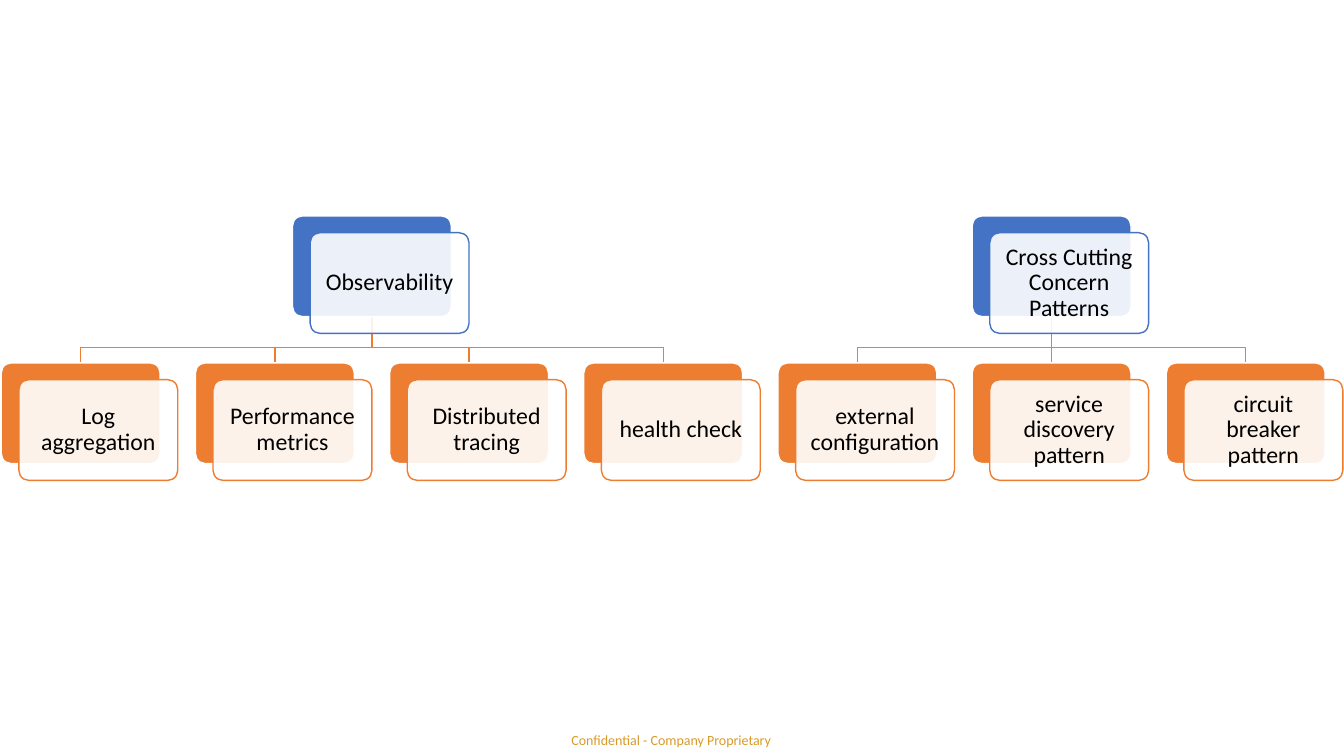
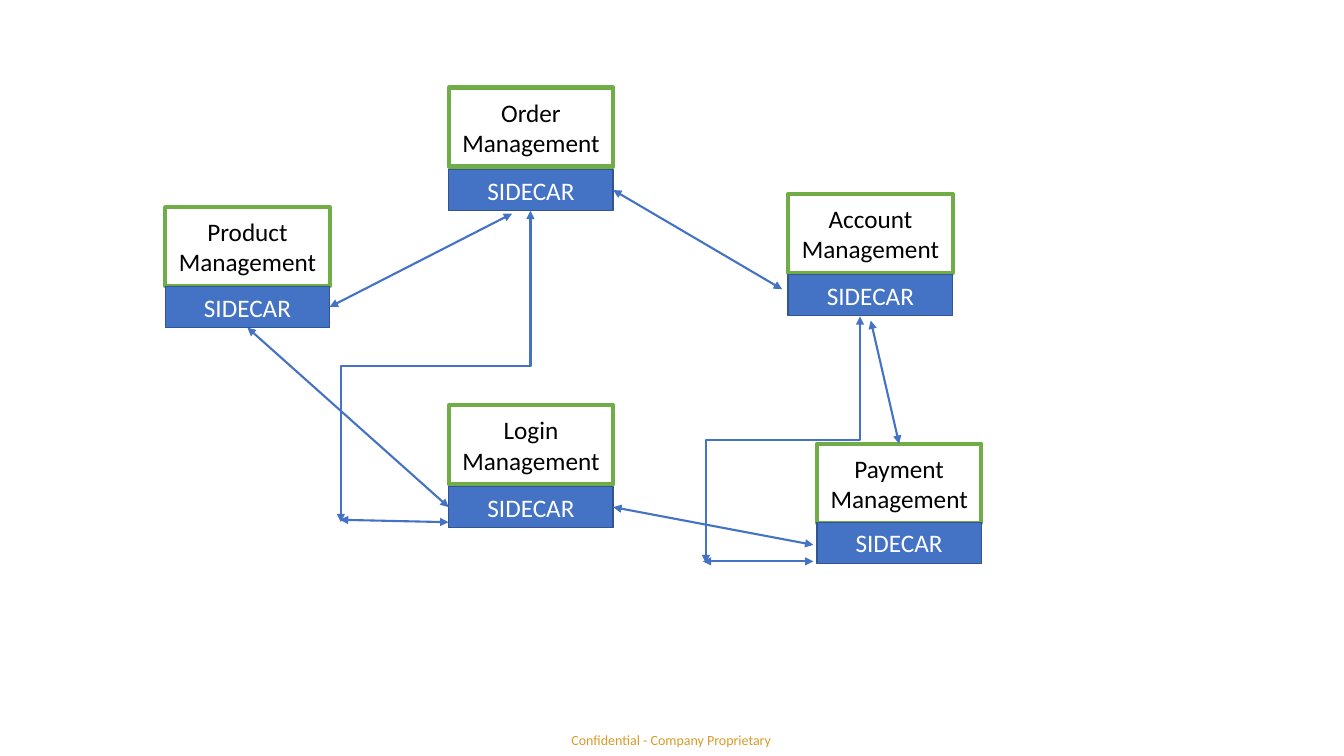
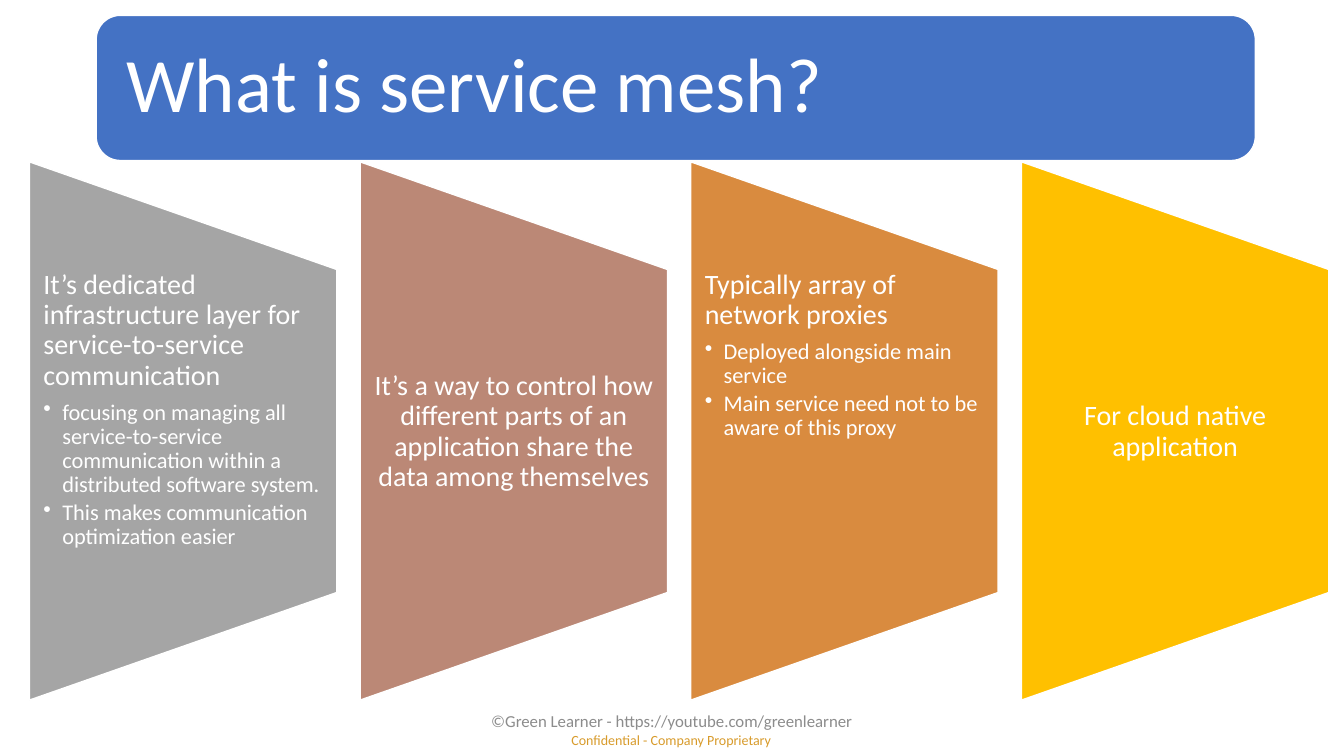
from dataclasses import dataclass
from typing import Optional, Union

from lxml import etree
from pptx import Presentation
from pptx.dml import color
from pptx.enum import shapes, text
from pptx.oxml import ns
from pptx.util import Pt

FONT = "Calibri"
COLORS = {
    "white": "FFFFFF", "black": "000000", "blue": "4472C4", "navy": "325491",
    "orange": "ED7D31", "green": "70AD47", "gray": "A5A5A5", "rose": "BB8876",
    "amber": "D98B3F", "gold": "FFC000", "footer": "D89B2B", "credit": "8C8C8C",
}
LEFT, CENTER = text.PP_ALIGN.LEFT, text.PP_ALIGN.CENTER
TOP, MIDDLE = text.MSO_ANCHOR.TOP, text.MSO_ANCHOR.MIDDLE
SHAPE = shapes.MSO_SHAPE
SIDE_TOP, SIDE_LEFT, SIDE_BOTTOM, SIDE_RIGHT = range(4)


@dataclass(frozen=True)
class Box:
    x: float
    y: float
    w: float
    h: float

    def lengths(self) -> tuple:
        return Pt(self.x), Pt(self.y), Pt(self.w), Pt(self.h)


@dataclass(frozen=True)
class Para:
    words: str
    size: float
    color: str = "white"
    align: text.PP_ALIGN = LEFT
    spacing: Optional[float] = None
    after: float = 0
    bullet: bool = False


@dataclass(frozen=True)
class Tree:
    title: str
    first: int
    leaves: tuple[str, ...]


@dataclass(frozen=True)
class Service:
    name: str
    x: float
    y: float
    sidecar_y: float


@dataclass(frozen=True)
class Joint:
    block: str
    side: int


@dataclass(frozen=True)
class Link:
    start: Union[Joint, tuple[float, float]]
    end: Union[Joint, tuple[float, float]]


@dataclass(frozen=True)
class Panel:
    fill: str
    heading: str
    bullets: tuple[str, ...] = ()


def rgb(name: str) -> color.RGBColor:
    return color.RGBColor.from_string(COLORS[name])


def write(sp, paras: list[Para], anchor=MIDDLE, inset=(7.2, 3.6), wrap=True) -> None:
    tf = sp.text_frame
    tf.word_wrap = wrap
    tf.vertical_anchor = anchor
    tf.margin_left = tf.margin_right = Pt(inset[0])
    tf.margin_top = tf.margin_bottom = Pt(inset[1])
    for i, para in enumerate(paras):
        p = tf.paragraphs[0] if i == 0 else tf.add_paragraph()
        if para.bullet:
            p.level = 1
            pPr = p._p.get_or_add_pPr()
            pPr.set("marL", str(Pt(13.5)))
            pPr.set("indent", str(-Pt(13.5)))
            etree.SubElement(pPr, ns.qn("a:buChar")).set("char", "•")
        p.alignment = para.align
        if para.spacing:
            p.line_spacing = para.spacing
        p.space_after = Pt(para.after)
        r = p.add_run()
        r.text = para.words
        r.font.name = FONT
        r.font.size = Pt(para.size)
        r.font.color.rgb = rgb(para.color)


def add_text(s, box: Box, paras: list[Para], **options):
    sp = s.shapes.add_textbox(*box.lengths())
    write(sp, paras, **options)
    return sp


def add_block(s, kind, box: Box, fill: str, line: str, width: float = 1, opacity: int = 100):
    sp = s.shapes.add_shape(kind, *box.lengths())
    sp.shadow.inherit = False
    sp.fill.solid()
    sp.fill.fore_color.rgb = rgb(fill)
    if opacity < 100:
        clr = sp._element.spPr.find(ns.qn("a:solidFill"))[0]
        etree.SubElement(clr, ns.qn("a:alpha")).set("val", str(opacity * 1000))
    sp.line.color.rgb = rgb(line)
    sp.line.width = Pt(width)
    return sp


def add_line(s, kind, start, end, line: str, width: float, arrows: bool = False):
    c = s.shapes.add_connector(kind, *(Pt(v) for v in (*start, *end)))
    c.line.color.rgb = rgb(line)
    c.line.width = Pt(width)
    if arrows:
        ln = c.line._get_or_add_ln()
        for tag in ("a:headEnd", "a:tailEnd"):
            etree.SubElement(ln, ns.qn(tag)).set("type", "triangle")
    etree.SubElement(c._element.spPr, ns.qn("a:effectLst"))
    return c


def send_to_back(sp) -> None:
    sp._element.getparent().insert(2, sp._element)


def new_slide(prs):
    s = prs.slides.add_slide(prs.slide_layouts[6])
    footer = [Para("Confidential - Company Proprietary", 10, "footer")]
    add_text(s, Box(408.2, 522.7, 145.5, 12.2), footer, anchor=TOP, inset=(0, 0), wrap=False)
    return s


CARD_W, CARD_H, CARD_PITCH, CARD_LEFT = 113.5, 72, 138.7, 0.9
ROOT_Y, LEAF_Y, BRANCH_Y = 154.2, 259.2, 248.4
TREES = (
    Tree("Observability", 0,
         ("Log aggregation", "Performance metrics", "Distributed tracing", "health check")),
    Tree("Cross Cutting Concern Patterns", 4,
         ("external configuration", "service discovery pattern", "circuit breaker pattern")),
)


def add_card(s, column: float, y: float, label: str, tone: str):
    x = CARD_LEFT + CARD_PITCH * column
    back = add_block(s, SHAPE.ROUNDED_RECTANGLE, Box(x, y, CARD_W, CARD_H), tone, "white")
    front = add_block(s, SHAPE.ROUNDED_RECTANGLE, Box(x + 12.6, y + 12, CARD_W, CARD_H),
                      "white", tone, opacity=90)
    for sp in (back, front):
        sp.adjustments[0] = 0.1
    write(front, [Para(label, 17, "black", CENTER, 0.9)], inset=(5, 5))
    return back


def add_branch(s, root, leaf, root_column: float, leaf_column: int) -> None:
    x0, x1 = (CARD_LEFT + CARD_PITCH * c + CARD_W / 2 for c in (root_column, leaf_column))
    y0 = ROOT_Y + CARD_H
    if leaf_column == root_column:
        sp = add_line(s, shapes.MSO_CONNECTOR.STRAIGHT, (x0, y0), (x1, LEAF_Y), "orange", 1)
        sp.begin_connect(root, SIDE_BOTTOM)
        sp.end_connect(leaf, SIDE_TOP)
    else:
        outline = s.shapes.build_freeform(Pt(x0), Pt(y0))
        turns = ((x0, BRANCH_Y), (x1, BRANCH_Y), (x1, LEAF_Y))
        outline.add_line_segments([(Pt(x), Pt(y)) for x, y in turns], close=False)
        sp = outline.convert_to_shape()
        sp.shadow.inherit = False
        sp.fill.background()
        sp.line.color.rgb = rgb("orange")
        sp.line.width = Pt(1)
    send_to_back(sp)


def build_patterns(prs) -> None:
    s = new_slide(prs)
    for tree in TREES:
        root_column = tree.first + (len(tree.leaves) - 1) / 2
        root = add_card(s, root_column, ROOT_Y, tree.title, "blue")
        for column, label in enumerate(tree.leaves, tree.first):
            leaf = add_card(s, column, LEAF_Y, label, "orange")
            add_branch(s, root, leaf, root_column, column)


SERVICES = (
    Service("Order", 320.5, 62.5, 121),
    Service("Login", 320.5, 289.5, 347.5),
    Service("Account", 563, 138.5, 196),
    Service("Payment", 583.5, 317, 373),
    Service("Product", 118, 148, 204.5),
)
LINKS = (
    Link(Joint("Product sidecar", SIDE_RIGHT), (365.8, 152.6)),
    Link(Joint("Order sidecar", SIDE_RIGHT), (558.7, 206.6)),
    Link((622, 229), Joint("Payment", SIDE_TOP)),
    Link(Joint("Product sidecar", SIDE_BOTTOM), Joint("Login sidecar", SIDE_LEFT)),
    Link(Joint("Login sidecar", SIDE_RIGHT), (581, 389.2)),
    Link((242.8, 371.3), (320.4, 373)),
    Link((502, 401), (581, 401)),
)
ELBOWS = (
    Link((378.9, 150.5), (243.5, 373)),
    Link((614.3, 226), (504.2, 402.3)),
)


def add_link(s, link: Link, blocks: dict) -> None:
    start, end = ((0, 0) if isinstance(e, Joint) else e for e in (link.start, link.end))
    c = add_line(s, shapes.MSO_CONNECTOR.STRAIGHT, start, end, "blue", 1.5, arrows=True)
    for spot, connect in ((link.start, c.begin_connect), (link.end, c.end_connect)):
        if isinstance(spot, Joint):
            connect(blocks[spot.block], spot.side)


def add_elbow(s, link: Link) -> None:
    (x0, y0), (x1, y1) = link.start, link.end
    cx, cy = (x0 + x1) / 2, (y0 + y1) / 2
    half_w, half_h = (y1 - y0) / 2, (x0 - x1) / 2
    c = add_line(s, shapes.MSO_CONNECTOR.ELBOW, (cx - half_w, cy - half_h),
                 (cx + half_w, cy + half_h), "blue", 1.5, arrows=True)
    c._element.spPr.find(ns.qn("a:xfrm")).set("rot", "5400000")


def build_sidecars(prs) -> None:
    s = new_slide(prs)
    blocks = {}
    for service in SERVICES:
        sp = add_block(s, SHAPE.RECTANGLE, Box(service.x, service.y, 117.5, 56.5),
                       "white", "green", 3)
        write(sp, [Para(f"{service.name} Management", 18, "black", CENTER)])
        blocks[service.name] = sp
    for service in SERVICES:
        sp = add_block(s, SHAPE.RECTANGLE, Box(service.x, service.sidecar_y, 117.5, 29.5),
                       "blue", "navy")
        write(sp, [Para("SIDECAR", 18, "white", CENTER)])
        blocks[f"{service.name} sidecar"] = sp
    for link in LINKS:
        add_link(s, link, blocks)
    for link in ELBOWS:
        add_elbow(s, link)


PANEL_LEFT, PANEL_TOP, PANEL_W, PANEL_H, PANEL_PITCH = 21, 115.6, 219.6, 384.5, 236.2
PANELS = (
    Panel("gray", "It’s dedicated infrastructure layer for service-to-service communication",
          ("focusing on managing all service-to-service communication within a distributed "
           "software system.",
           "This makes communication optimization easier")),
    Panel("rose", "It’s a way to control how different parts of an application share the data "
                  "among themselves"),
    Panel("amber", "Typically array of network proxies",
          ("Deployed alongside main service",
           "Main service need not to be aware of this proxy")),
    Panel("gold", "For cloud native application"),
)


def add_panel(s, x: float, panel: Panel) -> None:
    shift = (PANEL_H - PANEL_W) / 2
    sp = add_block(s, SHAPE.FLOWCHART_MANUAL_OPERATION,
                   Box(x - shift, PANEL_TOP + shift, PANEL_H, PANEL_W), panel.fill, "white")
    sp.rotation = 270
    align, anchor = (LEFT, TOP) if panel.bullets else (CENTER, MIDDLE)
    paras = [Para(panel.heading, 20, align=align, spacing=0.9, after=7)]
    paras += [Para(b, 16, spacing=0.9, after=2.4, bullet=True) for b in panel.bullets]
    add_text(s, Box(x, 193, PANEL_W, 231), paras, anchor=anchor, inset=(10, 0))


def build_mesh(prs) -> None:
    s = new_slide(prs)
    title = add_block(s, SHAPE.ROUNDED_RECTANGLE, Box(68.7, 11, 828, 103.7), "blue", "white")
    write(title, [Para("What is service mesh?", 55, spacing=0.9)], inset=(16.5, 16.5))
    for i, panel in enumerate(PANELS):
        add_panel(s, PANEL_LEFT + i * PANEL_PITCH, panel)
    credit = "©Green Learner - https://youtube.com/greenlearner"
    add_text(s, Box(318, 500.5, 324, 28.8), [Para(credit, 12, "credit", CENTER)])


def main() -> None:
    prs = Presentation()
    prs.slide_width, prs.slide_height = Pt(960), Pt(540)
    build_patterns(prs)
    build_sidecars(prs)
    build_mesh(prs)
    prs.save("out.pptx")


if __name__ == "__main__":
    main()
